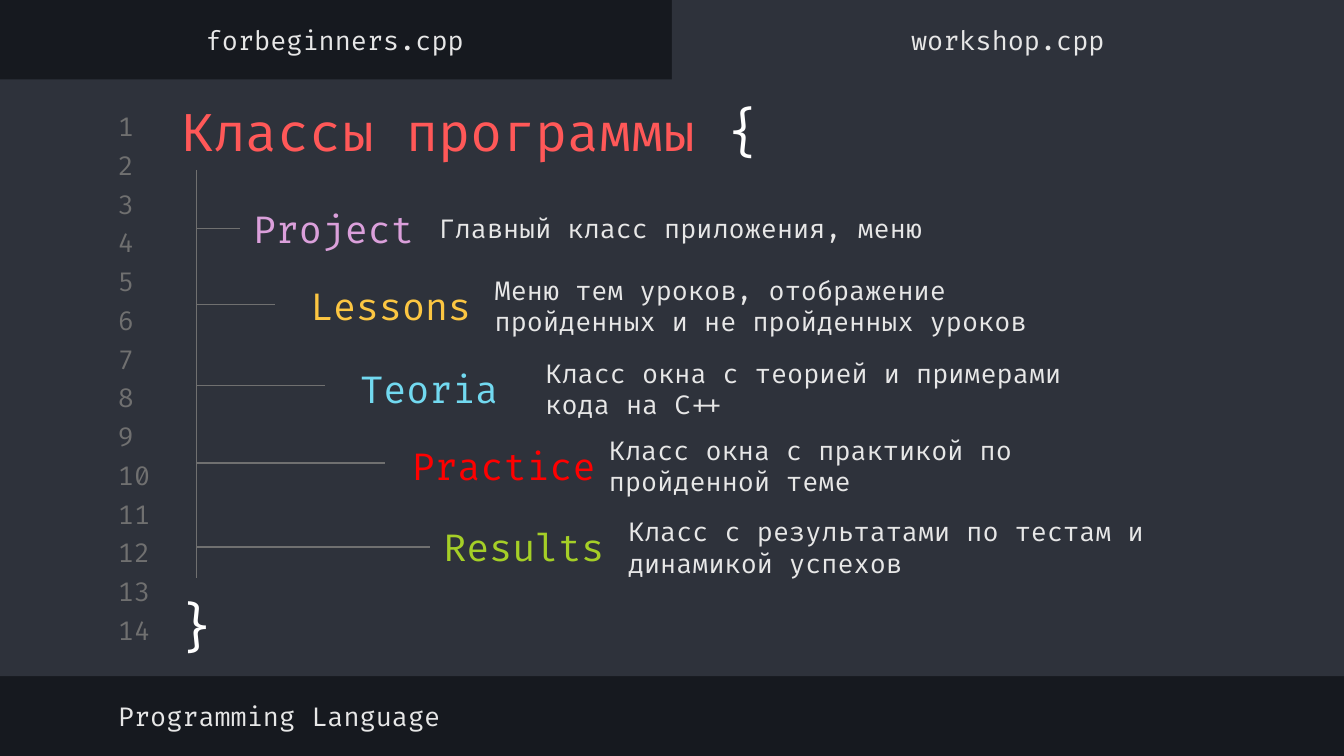
from lxml.etree import SubElement
from pptx import Presentation
from pptx.dml.color import RGBColor
from pptx.enum.shapes import MSO_CONNECTOR, MSO_SHAPE
from pptx.enum.text import MSO_ANCHOR, MSO_AUTO_SIZE, PP_ALIGN
from pptx.oxml.ns import qn
from pptx.util import Cm, Pt

FONT = "Fira Code"
DARK = RGBColor(0x16, 0x19, 0x1F)
PANEL = RGBColor(0x2E, 0x32, 0x3B)
GRAY = RGBColor(0x70, 0x70, 0x70)
LIGHT = RGBColor(0xE7, 0xE7, 0xE7)
WHITE = RGBColor(0xFF, 0xFF, 0xFF)
CORAL = RGBColor(0xFF, 0x58, 0x58)
PINK = RGBColor(0xDB, 0xA0, 0xDB)
YELLOW = RGBColor(0xFC, 0xC6, 0x42)
BLUE = RGBColor(0x72, 0xD9, 0xF0)
RED = RGBColor(0xFF, 0x00, 0x00)
GREEN = RGBColor(0xA5, 0xCF, 0x27)

deck = Presentation()
deck.slide_width, deck.slide_height = Cm(25.4), Cm(14.29)
page = deck.slides.add_slide(deck.slide_layouts[5])
page.background.fill.solid()
page.background.fill.fore_color.rgb = DARK


def write(box, text, size, color, align=PP_ALIGN.LEFT, anchor=MSO_ANCHOR.MIDDLE):
    frame = box.text_frame
    frame.word_wrap = True
    frame.auto_size = MSO_AUTO_SIZE.NONE
    frame.vertical_anchor = anchor
    frame.margin_left = frame.margin_right = Cm(0.25)
    frame.margin_top = frame.margin_bottom = Cm(0.25)
    para = frame.paragraphs[0]
    para.text = text
    para.alignment = align
    para.font.name, para.font.size = FONT, Pt(size)
    para.font.color.rgb = color
    return para


def add_line(x1, y1, x2, y2):
    line = page.shapes.add_connector(
        MSO_CONNECTOR.STRAIGHT, Cm(x1), Cm(y1), Cm(x2), Cm(y2))
    line.line.color.rgb = GRAY
    line.line.width = Pt(0.75)
    SubElement(line._element.spPr, qn("a:effectLst"))
    return line


for left, top, width, height in [(0, 1.5, 25.4, 11.28), (12.7, 0, 12.7, 1.65)]:
    panel = page.shapes.add_shape(
        MSO_SHAPE.RECTANGLE, Cm(left), Cm(top), Cm(width), Cm(height))
    panel.shadow.inherit = False
    panel.fill.solid()
    panel.fill.fore_color.rgb = PANEL
    panel.line.fill.background()

FIRST_NUMBER, LAST_NUMBER = 2.08, 11.6
for index in range(14):
    top = FIRST_NUMBER + (LAST_NUMBER - FIRST_NUMBER) * index / 13
    box = page.shapes.add_textbox(Cm(1.98), Cm(top), Cm(1.19), Cm(0.61))
    write(box, str(index + 1), 14, GRAY)

title = page.shapes.title
page.shapes._spTree.append(title._element)
title.left, title.top, title.width, title.height = Cm(3.18), Cm(1.63), Cm(20.24), Cm(1.5)
para = write(title, "Классы программы ", 28, CORAL, anchor=MSO_ANCHOR.TOP)
span = para.add_run()
span.text = "{"
span.font.color.rgb = WHITE

box = page.shapes.add_textbox(Cm(3.02), Cm(10.98), Cm(1.4), Cm(1.7))
write(box, "}", 28, WHITE, PP_ALIGN.CENTER, MSO_ANCHOR.TOP)

for text, left, top, width, align in [
    ("forbeginners.срр", -0.02, 0.25, 12.7, PP_ALIGN.CENTER),
    ("workshop.cрр", 12.7, 0.25, 12.7, PP_ALIGN.CENTER),
    ("Programming Language", 1.98, 13.03, 13.51, PP_ALIGN.LEFT),
]:
    box = page.shapes.add_textbox(Cm(left), Cm(top), Cm(width), Cm(1))
    write(box, text, 14, LIGHT, align)

TRUNK = 3.71
add_line(TRUNK, 3.21, TRUNK, 10.92)

classes = [
    ("Project", PINK, 4.53, 3.51, 3.61, 8.04, 4.53, 4.32,
     "Главный класс приложения, меню"),
    ("Lessons", YELLOW, 5.61, 4.97, 3.61, 9.1, 5.2, 5.76,
     "Меню тем уроков, отображение пройденных и не пройденных уроков"),
    ("Teoria", BLUE, 6.56, 6.53, 3.61, 10.06, 6.15, 7.29,
     "Класс окна с теорией и примерами кода на С++"),
    ("Practice", RED, 7.53, 7.99, 3.99, 11.26, 7.27, 8.75,
     "Класс окна с практикой по пройденной теме"),
    ("Results", GREEN, 8.13, 9.53, 3.61, 11.62, 8.13, 10.34,
     "Класс с результатами по тестам и динамикой успехов"),
]
for name, color, left, top, width, note_left, branch_end, branch_y, note in classes:
    label = page.shapes.add_textbox(Cm(left), Cm(top), Cm(width), Cm(1.62))
    write(label, name, 20, color)
    box = page.shapes.add_textbox(Cm(note_left), Cm(top), Cm(11.05), Cm(1.62))
    write(box, note, 14, LIGHT)
    branch = add_line(TRUNK, branch_y, branch_end, branch_y)
    if branch_end == left:
        branch.end_connect(label, 1)

deck.save("out.pptx")
